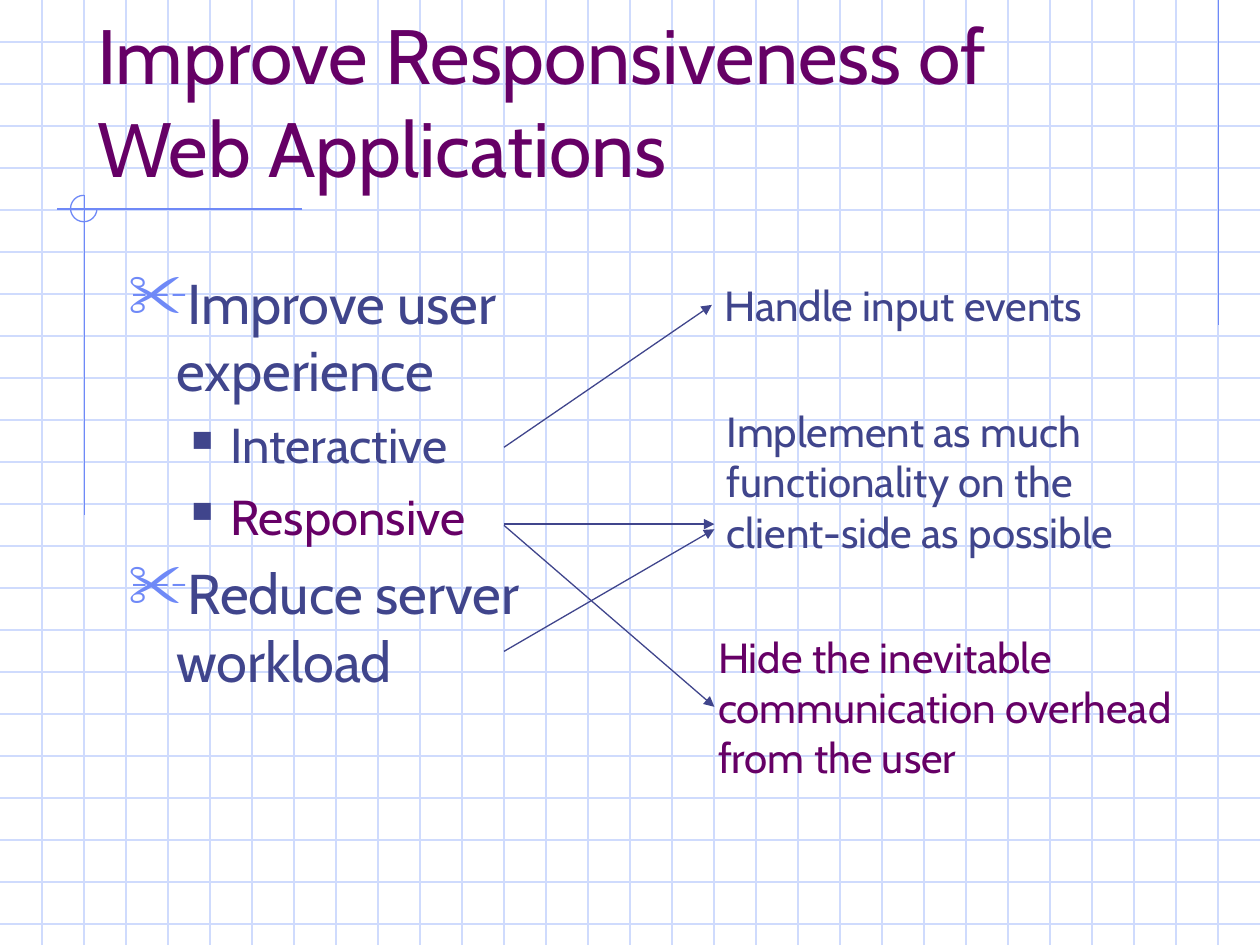
from lxml.etree import SubElement
from pptx import Presentation
from pptx.dml.color import RGBColor
from pptx.enum.shapes import MSO_CONNECTOR, MSO_SHAPE
from pptx.enum.text import MSO_ANCHOR, MSO_AUTO_SIZE, PP_ALIGN
from pptx.oxml.ns import qn
from pptx.util import Inches, Pt

FONT = "Cabin"
GRID, ACCENT, INK, PLUM = "CFDBFD", "6F89F7", "40458C", "660066"
WIDTH, HEIGHT = 10, 7.5

TITLE = "Improve Responsiveness of Web Applications"
GOALS = [
    (0, "Improve user experience", INK),
    (1, "Interactive", INK),
    (1, "Responsive", PLUM),
    (0, "Reduce server workload", INK),
]
LEVELS = [
    {"size": 32, "left": 0.38, "hang": 0.38, "before": 8,
     "bullet": "✂", "color": ACCENT, "percent": 110},
    {"size": 28, "left": 0.81, "hang": 0.31, "before": 7,
     "bullet": "■", "color": INK, "percent": 60},
]
MEASURES = [
    ((5.65, 2.17, 3.34, 0.5), INK, ["Handle input events"]),
    ((5.67, 3.17, 3.6, 1.3), INK,
     ["Implement as much", "functionality on the", "client-side as possible"]),
    ((5.6, 4.96, 4.21, 1.3), PLUM,
     ["Hide the inevitable", "communication overhead", "from the user"]),
]
ARROWS = [(3.55, 2.42), (4.16, 4.16), (5.17, 4.2), (4.17, 5.61)]
ARROW_LEFT, ARROW_RIGHT = 4, 5.67
FRAME = [
    (9.67, 0, 9.67, 2.58),
    (2.4, 1.66, 0.45, 1.66),
    (0.67, 1.55, 0.67, 4.09),
]


def rgb(value):
    return RGBColor.from_string(value)


def add_line(x1, y1, x2, y2, color, arrow=False):
    line = s.shapes.add_connector(
        MSO_CONNECTOR.STRAIGHT, Inches(x1), Inches(y1), Inches(x2), Inches(y2))
    line.line.color.rgb = rgb(color)
    line.line.width = Pt(0.75)
    if arrow:
        SubElement(line.line._get_or_add_ln(), qn("a:tailEnd"), type="triangle")
    SubElement(line._element.spPr, qn("a:effectLst"))
    return line


def add_text(p, text, size, color):
    r = p.add_run()
    r.text = text
    r.font.name = FONT
    r.font.size = Pt(size)
    r.font.color.rgb = rgb(color)


def add_bullet(p, level):
    pPr = p._p.get_or_add_pPr()
    pPr.set("marL", str(Inches(level["left"])))
    pPr.set("indent", str(-Inches(level["hang"])))
    color = SubElement(pPr, qn("a:buClr"))
    SubElement(color, qn("a:srgbClr"), val=level["color"])
    SubElement(pPr, qn("a:buSzPct"), val=str(level["percent"] * 1000))
    SubElement(pPr, qn("a:buChar"), char=level["bullet"])


def add_box(left, top, width, height):
    return s.shapes.add_textbox(
        Inches(left), Inches(top), Inches(width), Inches(height))


prs = Presentation()
prs.slide_width, prs.slide_height = Inches(WIDTH), Inches(HEIGHT)
s = prs.slides.add_slide(prs.slide_layouts[5])

for i in range(1, 23):
    add_line(0, i / 3, WIDTH, i / 3, GRID)
for i in range(1, 30):
    add_line(i / 3, 0, i / 3, HEIGHT, GRID)
for ends in FRAME:
    add_line(*ends, ACCENT)

arc = s.shapes.add_shape(
    MSO_SHAPE.ARC, Inches(0.56), Inches(1.55), Inches(0.21), Inches(0.21))
arc.adjustments[0], arc.adjustments[1] = 0, 162
arc.fill.background()
arc.line.color.rgb = rgb(ACCENT)
arc.line.width = Pt(0.75)
arc.shadow.inherit = False

title = s.shapes.title
s.shapes._spTree.append(title._element)
title.left, title.top = Inches(0.67), Inches(0.33)
title.width, title.height = Inches(8.5), Inches(1.25)
tf = title.text_frame
tf.word_wrap = True
tf.auto_size = MSO_AUTO_SIZE.NONE
tf.vertical_anchor = MSO_ANCHOR.BOTTOM
tf.paragraphs[0].alignment = PP_ALIGN.LEFT
add_text(tf.paragraphs[0], TITLE, 44, PLUM)

tf = add_box(0.92, 2.08, 4, 4.5).text_frame
tf.word_wrap = True
for i, (depth, text, color) in enumerate(GOALS):
    level = LEVELS[depth]
    p = tf.add_paragraph() if i else tf.paragraphs[0]
    p.level = depth
    add_bullet(p, level)
    if i:
        p.space_before = Pt(level["before"])
    add_text(p, text, level["size"], color)

boxes = []
for place, color, lines in MEASURES:
    sp = add_box(*place)
    boxes.append(sp)
    tf = sp.text_frame
    tf.word_wrap = False
    tf.auto_size = MSO_AUTO_SIZE.SHAPE_TO_FIT_TEXT
    for i, text in enumerate(lines):
        p = tf.add_paragraph() if i else tf.paragraphs[0]
        add_text(p, text, 24, color)

arrows = [add_line(ARROW_LEFT, y1, ARROW_RIGHT, y2, INK, arrow=True)
          for y1, y2 in ARROWS]
arrows[0].end_connect(boxes[0], 1)

prs.save("out.pptx")
